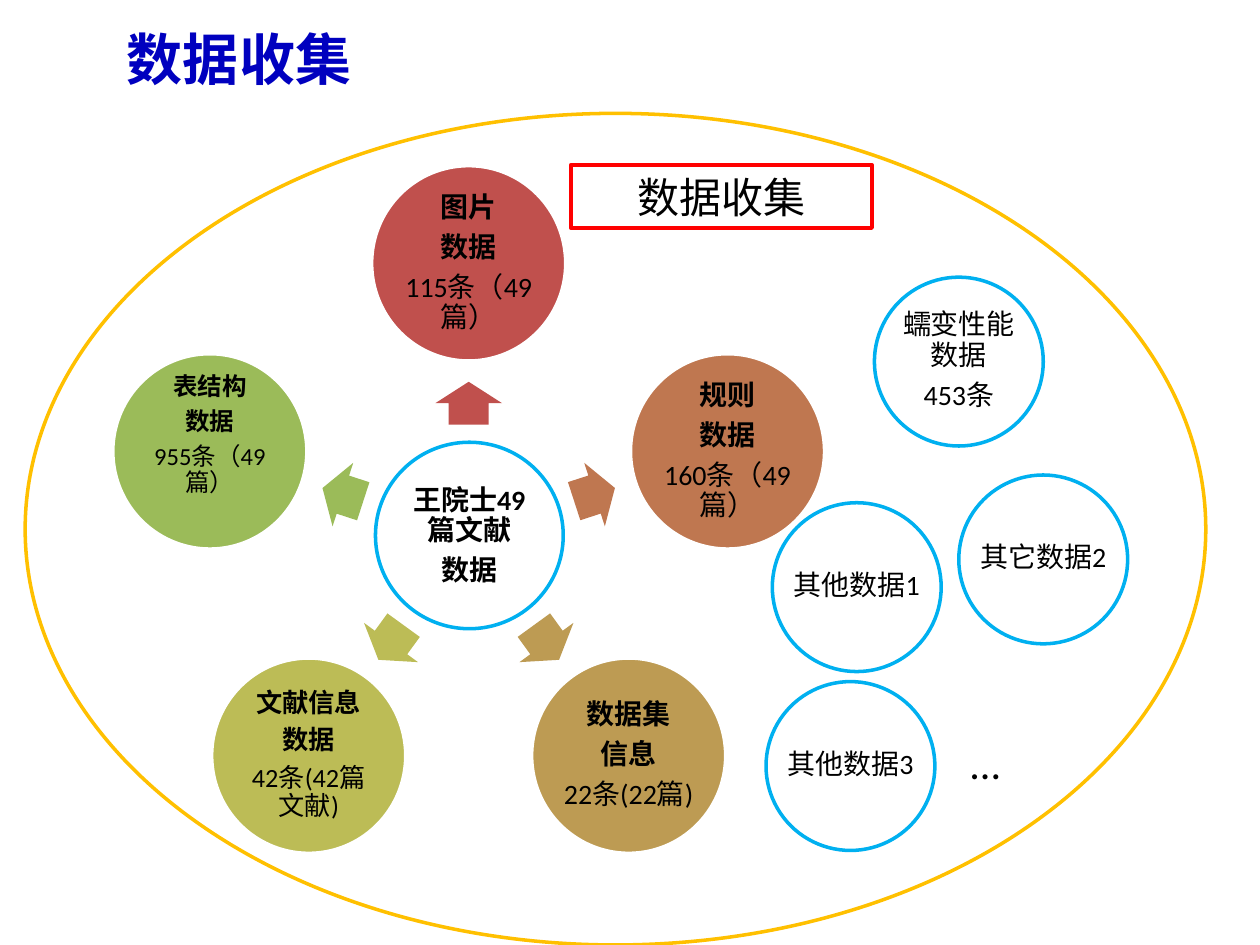
"""Build the data collection slide with a ring of sources around the literature."""
import math

from pptx import Presentation, util as u
from pptx.dml.color import RGBColor
from pptx.enum import shapes, text

presentation = Presentation()
presentation.slide_width = u.Inches(10)
presentation.slide_height = u.Inches(7.5)
slide = presentation.slides.add_slide(presentation.slide_layouts[6])


def add_outline(kind, left, top, width, height, fill=None, line=None, weight=2):
    shape = slide.shapes.add_shape(
        kind, u.Inches(left), u.Inches(top), u.Inches(width), u.Inches(height))
    shape.shadow.inherit = False
    if fill:
        shape.fill.solid()
        shape.fill.fore_color.rgb = RGBColor.from_string(fill)
    else:
        shape.fill.background()
    if line:
        shape.line.color.rgb = RGBColor.from_string(line)
        shape.line.width = u.Pt(weight)
    else:
        shape.line.fill.background()
    return shape


def add_text(left, top, width, height, lines, size=16, bold_lines=0, inset=0.02,
             bottom=0.02, color="000000", font="Calibri", align=text.PP_ALIGN.CENTER,
             spacing=0.9, anchor=text.MSO_ANCHOR.MIDDLE):
    box = slide.shapes.add_textbox(
        u.Inches(left), u.Inches(top), u.Inches(width), u.Inches(height))
    frame = box.text_frame
    frame.word_wrap = True
    frame.vertical_anchor = anchor
    frame.margin_left = frame.margin_right = u.Inches(inset)
    frame.margin_top = u.Inches(0.02)
    frame.margin_bottom = u.Inches(bottom)
    for index, line in enumerate(lines):
        paragraph = frame.paragraphs[0] if index == 0 else frame.add_paragraph()
        paragraph.alignment = align
        paragraph.line_spacing = spacing
        paragraph.space_after = u.Pt(round(size * 0.35, 1))
        run = paragraph.add_run()
        run.text = line
        run.font.size = u.Pt(size)
        run.font.name = font
        run.font.bold = index < bold_lines
        run.font.color.rgb = RGBColor.from_string(color)


oval = shapes.MSO_SHAPE.OVAL
add_text(0.91, 0.03, 9, 0.87, ["数据收集"], 32, 1, inset=0.1, color="0000BF",
         font="Noto Sans CJK SC", align=text.PP_ALIGN.LEFT, spacing=1.0)

center_x, center_y = 3.72, 4.25
add_outline(oval, 2.98, 3.51, 1.49, 1.48, line="00B0F0")
add_text(3.2, 3.73, 1.05, 1.05, ["王院士49篇文献", "数据"], bold_lines=2)

sources = [
    ("C0504D", 16, 0.02, ["图片", "数据", "115条（49篇）"]),
    ("BF7750", 16, 0.02, ["规则", "数据", "160条（49篇）"]),
    ("BD9B53", 16, 0.02, ["数据集", "信息", "22条(22篇)"]),
    ("BCBC56", 15, 0.02, ["文献信息", "数据", "42条(42篇文献)"]),
    ("9BBB59", 14, 0.27, ["表结构", "数据", "955条（49篇）"]),
]
arrow_radius, source_radius = 1.05, 2.16
for index, (color, size, bottom, lines) in enumerate(sources):
    degrees = -90 + index * 360 / len(sources)
    across, down = math.cos(math.radians(degrees)), math.sin(math.radians(degrees))
    arrow = add_outline(
        shapes.MSO_SHAPE.RIGHT_ARROW, center_x + arrow_radius * across - 0.17,
        center_y + arrow_radius * down - 0.265, 0.34, 0.53, fill=color)
    arrow.adjustments[0] = 0.6
    arrow.adjustments[1] = 0.5
    arrow.rotation = degrees % 360
    x = center_x + source_radius * across
    y = center_y + source_radius * down
    add_outline(oval, x - 0.77, y - 0.775, 1.54, 1.55, fill=color, line="FFFFFF")
    add_text(x - 0.545, y - 0.545, 1.09, 1.09, lines, size, 2, bottom=bottom)

add_outline(oval, 0.2, 0.9, 9.37, 6.6, line="FFC000")

other_data = [
    (7.61, 3.77, 1.14, ["其它数据2"]),
    (6.13, 3.99, 1.14, ["其他数据1"]),
    (6.94, 2.2, 0.95, ["蠕变性能数据", "453条"]),
    (6.08, 5.41, 1.14, ["其他数据3"]),
]
for left, top, width, lines in other_data:
    add_outline(oval, left, top, 1.34, 1.34, line="00B0F0")
    add_text(left + (1.34 - width) / 2, top + 0.19, width, 0.95, lines)

add_outline(shapes.MSO_SHAPE.RECTANGLE, 4.53, 1.31, 2.39, 0.5, line="FF0000", weight=2.25)
add_text(4.53, 1.31, 2.39, 0.5, ["数据收集"], 24, inset=0.1, spacing=1.0)
add_text(7.31, 5.8, 1.02, 0.5, ["..."], 24, inset=0.1, spacing=1.0)

presentation.save("out.pptx")
